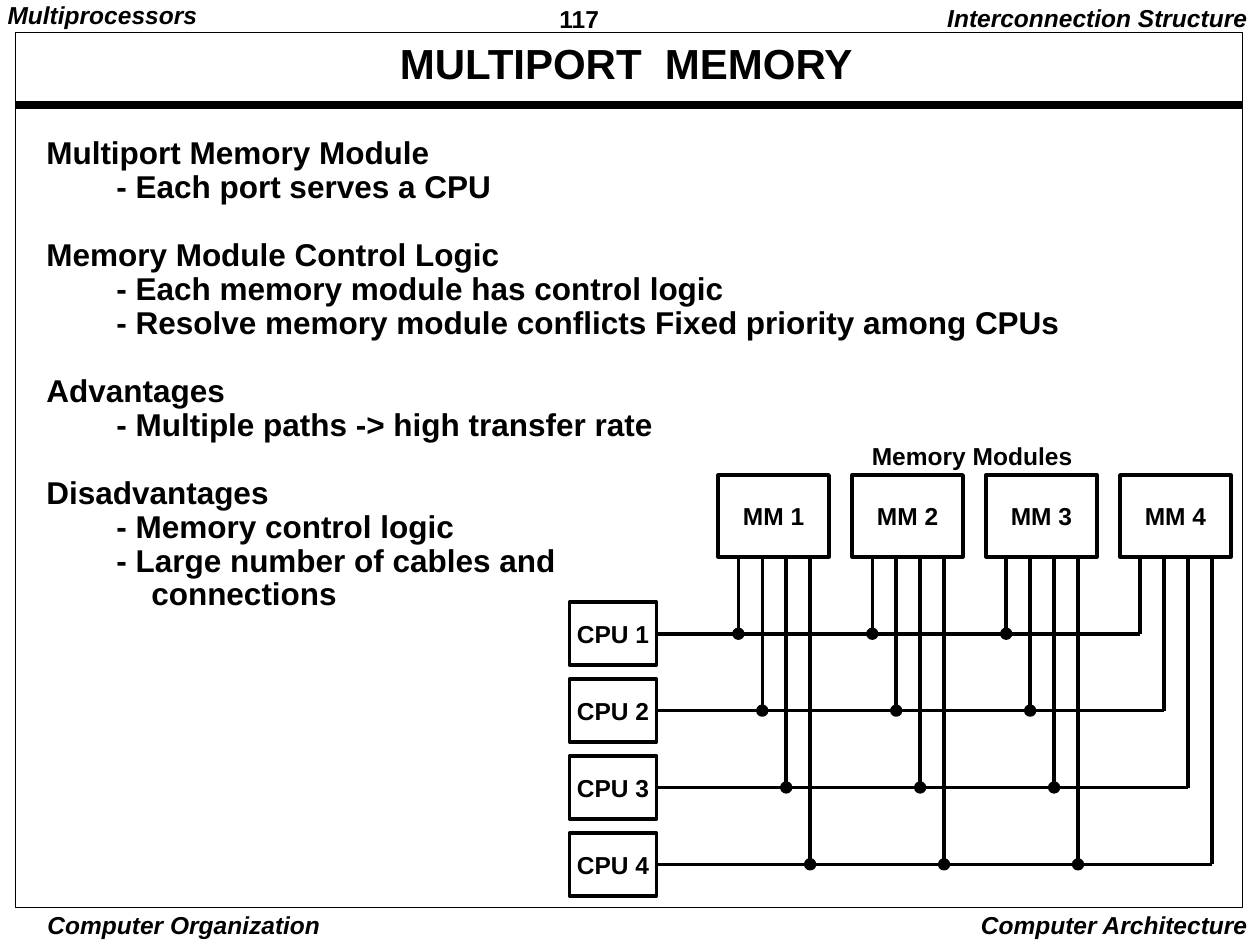
from dataclasses import dataclass

from lxml import etree
from pptx import Presentation
from pptx.dml.color import RGBColor
from pptx.enum.shapes import MSO_CONNECTOR, MSO_SHAPE
from pptx.enum.text import MSO_ANCHOR, PP_ALIGN
from pptx.oxml.ns import qn
from pptx.util import Inches, Pt

LEFT, CENTER, RIGHT = PP_ALIGN.LEFT, PP_ALIGN.CENTER, PP_ALIGN.RIGHT
TOP, MIDDLE = MSO_ANCHOR.TOP, MSO_ANCHOR.MIDDLE
RECTANGLE, OVAL = MSO_SHAPE.RECTANGLE, MSO_SHAPE.OVAL
STRAIGHT = MSO_CONNECTOR.STRAIGHT

COLUMNS, ROWS = 100, 75
CELL = Inches(0.1)
WIDE_INSET, SMALL_INSET, THIN_INSET = (1, 0.5), (0.7, 0.3), (0.3, 0.1)


@dataclass(frozen=True)
class Theme:
    font: str = "Arial"
    ink: RGBColor = RGBColor(0, 0, 0)
    title: float = 24
    body: float = 18
    label: float = 14
    body_leading: float = 19.4
    tight: float = 0.9
    frame_line: float = 0.5
    diagram_line: float = 2
    rule_line: float = 4.5


@dataclass(frozen=True)
class Box:
    """An area of the slide, in columns and rows of the grid."""
    left: float
    top: float
    width: float
    height: float

    def inner(self, left, top, width, height):
        return Box(self.left + left, self.top + top, width, height)

    def lengths(self):
        return [cells(n) for n in (self.left, self.top, self.width, self.height)]


THEME = Theme()

TOPICS = [
    ("Multiport Memory Module", ["Each port serves a CPU"]),
    ("Memory Module Control Logic", [
        "Each memory module has control logic",
        "Resolve memory module conflicts Fixed priority among CPUs"]),
    ("Advantages", ["Multiple paths -> high transfer rate"]),
    ("Disadvantages", ["Memory control logic", "Large number of cables and"]),
]
LAST_LINE = "connections"


def cells(count):
    return round(count * CELL)


def add_run(paragraph, text, size, italic=False):
    run = paragraph.add_run()
    run.text = text
    run.font.name, run.font.size = THEME.font, Pt(size)
    run.font.bold, run.font.italic = True, italic
    run.font.color.rgb = THEME.ink


def set_insets(frame, inset):
    frame.margin_left = frame.margin_right = cells(inset[0])
    frame.margin_top = frame.margin_bottom = cells(inset[1])


def add_label(slide, box, text, align=LEFT, size=THEME.label, italic=False,
              inset=WIDE_INSET, spacing=THEME.tight, anchor=TOP):
    frame = slide.shapes.add_textbox(*box.lengths()).text_frame
    frame.word_wrap = False
    frame.vertical_anchor = anchor
    set_insets(frame, inset)
    paragraph = frame.paragraphs[0]
    paragraph.alignment, paragraph.line_spacing = align, spacing
    add_run(paragraph, text, size, italic)


def add_outline(slide, preset, box, width, filled=False):
    shape = slide.shapes.add_shape(preset, *box.lengths())
    shape.shadow.inherit = False
    if filled:
        shape.fill.solid()
        shape.fill.fore_color.rgb = THEME.ink
    else:
        shape.fill.background()
    shape.line.color.rgb, shape.line.width = THEME.ink, Pt(width)
    return shape


def add_line(slide, x1, y1, x2, y2, width):
    line = slide.shapes.add_connector(STRAIGHT, *map(cells, (x1, y1, x2, y2)))
    line.line.color.rgb, line.line.width = THEME.ink, Pt(width)
    etree.SubElement(line._element.spPr, qn("a:effectLst"))


def add_unit(slide, box, text):
    """A named block of the diagram: a memory module or a CPU."""
    frame = add_outline(slide, RECTANGLE, box, THEME.diagram_line).text_frame
    frame.word_wrap = False
    frame.vertical_anchor = MIDDLE
    set_insets(frame, (0, 0))
    frame.paragraphs[0].alignment = CENTER
    add_run(frame.paragraphs[0], text, THEME.label)


def draw_page_frame(slide, page):
    add_outline(slide, RECTANGLE, page.inner(1.25, 2.6, 97.4, 69.4), THEME.frame_line)
    add_line(slide, 1.25, 8.3, 98.65, 8.3, THEME.rule_line)
    add_label(slide, page.inner(9, 1.7, 81.4, 7.1), "MULTIPORT  MEMORY", CENTER,
              THEME.title, anchor=MIDDLE)


def draw_header(slide, band):
    add_label(slide, band.inner(-0.1, 0, 18, 2.7), "Multiprocessors",
              italic=True, inset=SMALL_INSET)
    add_label(slide, band.inner(43.7, 0, 10.8, 2.9), "117",
              inset=SMALL_INSET, spacing=1.0)
    add_label(slide, band.inner(70, 0, 30, 3.1), "Interconnection Structure",
              RIGHT, italic=True)


def draw_footer(slide, band):
    add_label(slide, band.inner(2.1, 0.4, 25, 2.6), "Computer Organization",
              CENTER, italic=True, inset=THIN_INSET, spacing=1.0)
    add_label(slide, band.inner(74, 0, 26, 3.3), "Computer Architecture",
              RIGHT, italic=True, spacing=1.0)


def draw_topics(slide, box):
    frame = slide.shapes.add_textbox(*box.lengths()).text_frame
    frame.word_wrap = True
    set_insets(frame, WIDE_INSET)
    lines = []
    for heading, points in TOPICS:
        gap = THEME.body_leading if lines else 0
        lines.append((heading, 0, gap))
        lines += [(f"- {point}", 5.56, 0) for point in points]
    lines.append((LAST_LINE, 8.33, 0))
    for index, (text, indent, gap) in enumerate(lines):
        paragraph = frame.add_paragraph() if index else frame.paragraphs[0]
        paragraph._p.get_or_add_pPr().set("marL", str(cells(indent)))
        paragraph.line_spacing = Pt(THEME.body_leading)
        paragraph.space_before = Pt(gap)
        add_run(paragraph, text, THEME.body)


def draw_multiport_diagram(slide, box, count=4):
    """Each CPU's bus runs to its own port on every memory module."""
    module_pitch, module_width, module_height = 10.63, 8.8, 6.5
    cpu_pitch, cpu_width, cpu_height = 6.1, 6.9, 5
    first_port, port_pitch, dot = 1.6, 1.9, 0.7
    modules = [box.inner(11.8 + module_pitch * i, 2.8, module_width, module_height)
               for i in range(count)]
    cpus = [box.inner(0, 12.9 + cpu_pitch * i, cpu_width, cpu_height)
            for i in range(count)]

    add_label(slide, box.inner(22, -0.1, 19.9, 3.1), "Memory Modules", CENTER)
    for number, module in enumerate(modules, 1):
        add_unit(slide, module, f"MM {number}")
    for index, cpu in enumerate(cpus):
        add_unit(slide, cpu, f"CPU {index + 1}")
        bus = cpu.top + cpu_height / 2
        ports = [module.left + first_port + port_pitch * index for module in modules]
        add_line(slide, cpu.left + cpu_width, bus, ports[-1], bus, THEME.diagram_line)
        for port in ports:
            add_line(slide, port, modules[0].top + module_height, port, bus,
                     THEME.diagram_line)
        for port in ports[:-1]:
            add_outline(slide, OVAL, Box(port - dot / 2, bus - dot / 2, dot, dot),
                        THEME.diagram_line, filled=True)


def main():
    deck = Presentation()
    deck.slide_width, deck.slide_height = COLUMNS * CELL, ROWS * CELL
    slide = deck.slides.add_slide(deck.slide_layouts[6])
    draw_page_frame(slide, Box(0, 0, COLUMNS, ROWS))
    draw_header(slide, Box(0, 0, COLUMNS, 3.1))
    draw_footer(slide, Box(0, 71.7, COLUMNS, 3.3))
    draw_topics(slide, Box(2.7, 10.4, 86, 38.8))
    draw_multiport_diagram(slide, Box(45.2, 34.9, 52.5, 36.2))
    deck.save("out.pptx")


if __name__ == "__main__":
    main()
